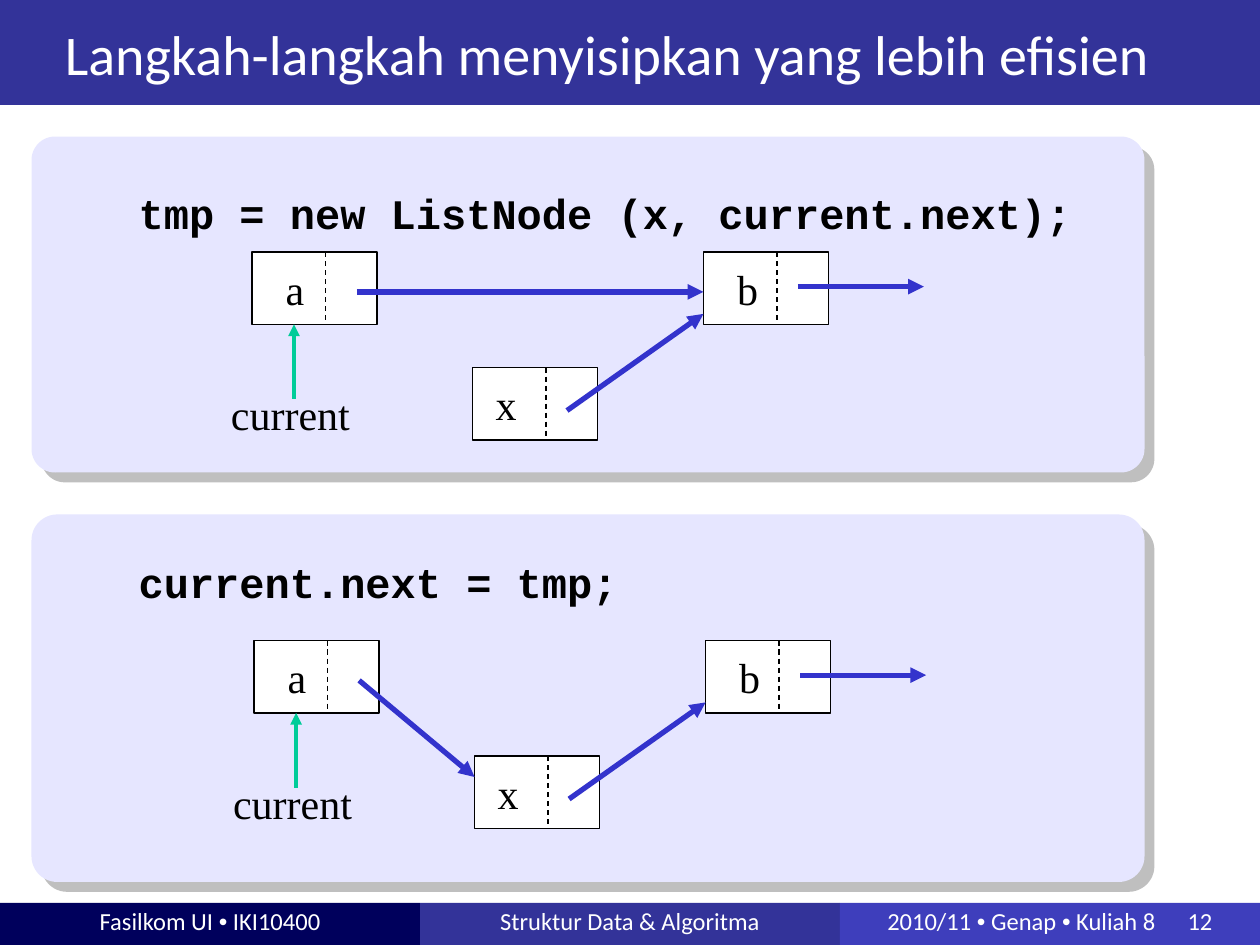
from dataclasses import dataclass
from lxml.etree import SubElement
from pptx import Presentation
from pptx.dml.color import RGBColor as RGB
from pptx.enum.dml import MSO_LINE_DASH_STYLE as Dash
from pptx.enum.shapes import MSO_CONNECTOR as Link, MSO_SHAPE as Form
from pptx.enum.text import MSO_ANCHOR as Anchor, PP_ALIGN as Align
from pptx.oxml import parse_xml
from pptx.oxml.ns import nsdecls, qn
from pptx.util import Inches, Pt


@dataclass(frozen=True)
class Theme:
    header: str = "333399"
    footers: tuple = ("00005C", "333399", "3E3EBC")
    panel: str = "E6E6FF"
    shadow: str = "808080"
    paper: str = "FFFFFF"
    ink: str = "000000"
    link: str = "3333CC"
    pointer: str = "00CC99"
    heading_size: int = 32
    body_size: int = 24
    footer_size: int = 14
    heading_font: str = "Calibri"
    bullet_font: str = "Arial"
    code_font: str = "Courier New"
    node_font: str = "Times New Roman"


theme = Theme()
deck = Presentation()
deck.slide_width, deck.slide_height = Inches(10), Inches(7.5)
cell = deck.slide_width / 120
slide = deck.slides.add_slide(deck.slide_layouts[6])


def block(form, left, top, width, height, fill=None, line=None, text="",
          font=theme.node_font, size=theme.body_size, color=theme.ink, bold=False,
          align=Align.LEFT, anchor=Anchor.MIDDLE, insets=(0, 0), wrap=True):
    box = [round(cell * length) for length in (left, top, width, height)]
    item = slide.shapes.add_shape(form, *box) if form else slide.shapes.add_textbox(*box)
    if form:
        item.shadow.inherit = False
        item.fill.solid()
        item.fill.fore_color.rgb = RGB.from_string(fill)
        item.line.fill.background()
    if line:
        item.line.color.rgb = RGB.from_string(line)
        item.line.width = Pt(0.75)
    if text:
        frame = item.text_frame
        frame.word_wrap, frame.vertical_anchor = wrap, anchor
        frame.margin_left, frame.margin_bottom = [round(cell * inset) for inset in insets]
        frame.margin_right = frame.margin_top = 0
        paragraph = frame.paragraphs[0]
        paragraph.alignment = align
        for part in text.replace("•", "|•|").split("|"):
            run = paragraph.add_run()
            run.text = part
            run.font.name = theme.bullet_font if part == "•" else font
            run.font.size, run.font.bold = Pt(size), bold
            run.font.color.rgb = RGB.from_string(color)
    return item


def stroke(start, end, color, width, arrow=True):
    ends = [round(cell * length) for length in (*start, *end)]
    line = slide.shapes.add_connector(Link.STRAIGHT, *ends)
    line.line.color.rgb = RGB.from_string(color)
    line.line.width = Pt(width)
    if arrow:
        SubElement(line.line._get_or_add_ln(), qn("a:tailEnd"), type="triangle")
    else:
        line.line.dash_style = Dash.DASH
    SubElement(line._element.spPr, qn("a:effectLst"))


block(Form.RECTANGLE, 0, 0, 120, 10, theme.header)
block(None, 5, 0, 107, 8.9, text="Langkah-langkah menyisipkan yang lebih efisien",
      font=theme.heading_font, size=theme.heading_size, color=theme.paper,
      anchor=Anchor.BOTTOM, insets=(1.2, 0.6))

footers = [
    ("Fasilkom UI • IKI10400", Align.CENTER, 0),
    ("Struktur Data & Algoritma", Align.CENTER, 0),
    ("2010/11 • Genap • Kuliah 8\t12", Align.LEFT, 4.5),
]
for column, (words, align, indent) in enumerate(footers):
    footer = block(Form.RECTANGLE, column * 40, 86, 40, 4, theme.footers[column], text=words,
                   font=theme.heading_font, size=theme.footer_size, color=theme.paper,
                   align=align, insets=(indent, 0.6))
    if "\t" in words:
        properties = footer.text_frame.paragraphs[0]._p.get_or_add_pPr()
        stops = SubElement(properties, qn("a:tabLst"))
        SubElement(stops, qn("a:tab"), pos=str(round(cell * 28.6)), algn="l")

shadow_xml = (
    f'<a:outerShdw {nsdecls("a")} dist="{Pt(8)}" dir="2700000" algn="ctr" rotWithShape="0">'
    f'<a:srgbClr val="{theme.shadow}"><a:alpha val="50000"/></a:srgbClr></a:outerShdw>'
)
nodes = [("a", 24, 24, 3.2), ("b", 67, 24, 3.2), ("x", 45, 35, 2.2)]
shared_links = [((76, 27.3), (88, 27.3)), ((54, 39.1), (67, 29.9))]
steps = [
    ("tmp = new ListNode (x, current.next);", 13, 32, 20.3, 0, 0, ((34, 27.8), (67, 27.8))),
    ("current.next = tmp;", 49, 35, 55.4, 0.2, 37, ((34, 27.8), (45, 37))),
]
for code, top, height, code_row, right, down, own_link in steps:
    panel = block(Form.ROUNDED_RECTANGLE, 3, top, 106, height, theme.panel)
    panel.adjustments[0] = 0.07
    panel._element.spPr.find(qn("a:effectLst")).append(parse_xml(shadow_xml))
    block(None, 13.2, code_row - 2.5, 94, 5, text=code, font=theme.code_font, bold=True)

    for letter, column, row, indent in nodes:
        left, upper = column + right, row + down
        block(Form.RECTANGLE, left, upper, 11.9, 6.9, theme.paper, theme.ink,
              text=letter, insets=(indent, 0))
        stroke((left + 7, upper), (left + 7, upper + 6.9), theme.ink, 0.75, arrow=False)

    for start, end in [own_link, *shared_links]:
        stroke((start[0] + right, start[1] + down), (end[0] + right, end[1] + down),
               theme.link, 3)

    block(None, 22 + right, 36.5 + down, 12, 5.8, text="current", wrap=False)
    stroke((28 + right, 38 + down), (28 + right, 30.9 + down), theme.pointer, 2.25)

deck.save("out.pptx")
